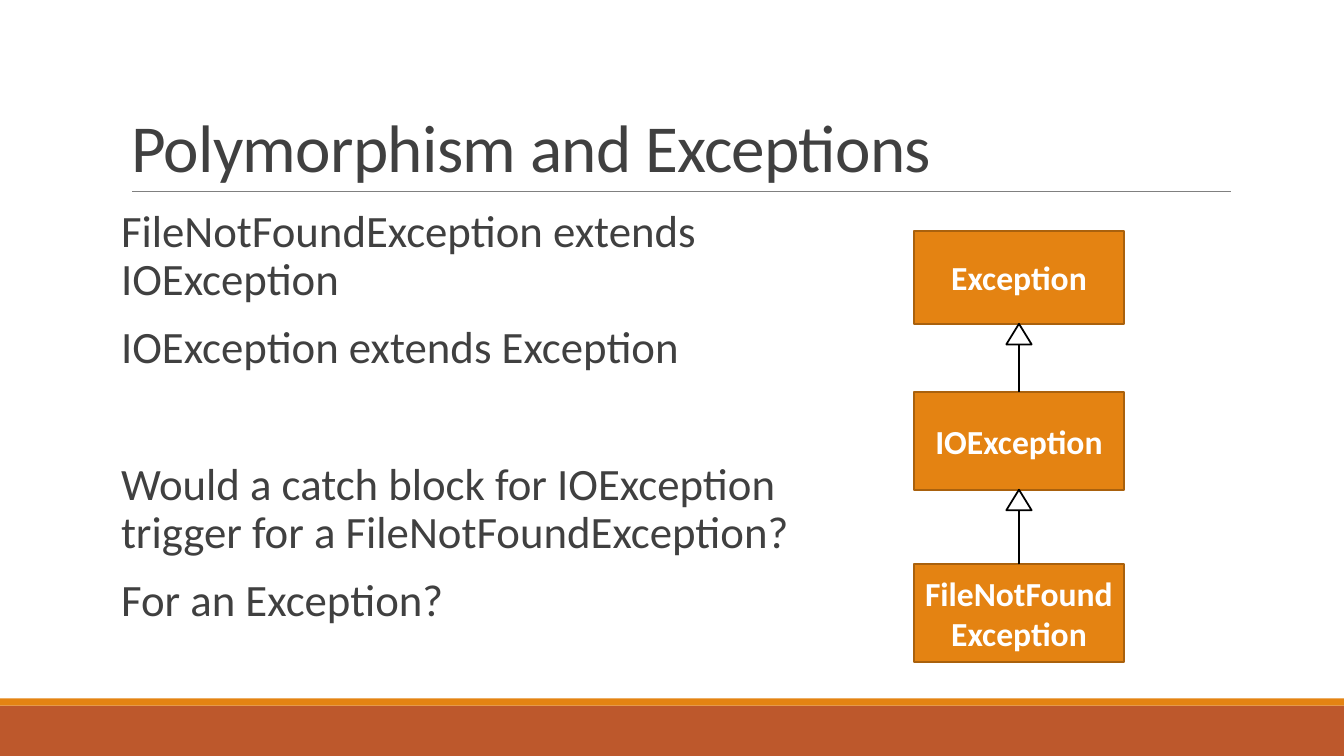
from lxml import etree
from pptx import Presentation
from pptx import util as u
from pptx.dml.color import RGBColor
from pptx.enum import shapes, text
from pptx.oxml.ns import qn

WIDTH, HEIGHT = 33.87, 19.05
ORANGE, RUST, INK, WHITE, BLACK = "E48312", "BD582C", "404040", "FFFFFF", "000000"
BOX_LEFT, BOX_WIDTH = 23.04, 5.28
HIERARCHY = [
    ("Exception", 5.82, 2.34),
    ("IOException", 9.88, 2.46),
    ("FileNotFound\vException", 14.22, 2.46),
]
PARAGRAPH_GAP = 12
SECTION_GAP = 61
POINTS = [
    ("FileNotFoundException extends IOException", PARAGRAPH_GAP),
    ("IOException extends Exception", PARAGRAPH_GAP),
    ("Would a catch block for IOException trigger for a FileNotFoundException?", SECTION_GAP),
    ("For an Exception?", PARAGRAPH_GAP),
]


def colour(value):
    """Turn a hex string into a colour."""
    return RGBColor.from_string(value)


def apply(target, formats):
    """Set each attribute named in the formats."""
    for name, value in formats.items():
        setattr(target, name, value)


def place(part, left, top, width, height):
    """Position a part in centimetres."""
    lengths = dict(left=left, top=top, width=width, height=height)
    apply(part, {name: u.Cm(value) for name, value in lengths.items()})


def style_font(font, size, ink, bold=False):
    """Give a font its face, size, weight and colour."""
    apply(font, dict(name="Calibri", size=u.Pt(size), bold=bold))
    font.color.rgb = colour(ink)


def add_filled(slide, kind, bounds, fill, outline=None):
    """Add a flat preset shape, with an outline if one is given."""
    part = slide.shapes.add_shape(kind, *map(u.Cm, bounds))
    part.shadow.inherit = False
    part.fill.solid()
    part.fill.fore_color.rgb = colour(fill)
    if outline:
        part.line.color.rgb = colour(outline)
        part.line.width = u.Pt(1.25)
    else:
        part.line.fill.background()
    return part


def add_line(slide, ends, ink, width):
    """Add a straight line without a shadow."""
    line = slide.shapes.add_connector(shapes.MSO_CONNECTOR.STRAIGHT, *map(u.Cm, ends))
    line.line.color.rgb = colour(ink)
    line.line.width = u.Pt(width)
    etree.SubElement(line._element.spPr, qn("a:effectLst"))
    return line


def add_class_box(slide, label, top, height):
    """Add one labelled class of the hierarchy."""
    box = add_filled(slide, shapes.MSO_SHAPE.RECTANGLE,
                     (BOX_LEFT, top, BOX_WIDTH, height), ORANGE, "A9610D")
    frame = box.text_frame
    apply(frame, dict(text=label, word_wrap=True, vertical_anchor=text.MSO_ANCHOR.MIDDLE,
                      margin_left=u.Cm(0.1), margin_right=u.Cm(0.1)))
    paragraph = frame.paragraphs[0]
    paragraph.alignment = text.PP_ALIGN.CENTER
    for run in paragraph.runs:
        style_font(run.font, 24, WHITE, True)
    return box


def add_inheritance(slide, parent, child):
    """Draw the hollow arrow from a child class up to its parent."""
    link = add_line(slide, (0, 0, 0, 0), BLACK, 1.25)
    link.begin_connect(child, 0)
    link.end_connect(parent, 2)
    head_width, head_height = 0.64, 0.52
    base = u.Emu(parent.top + parent.height).cm
    left = BOX_LEFT + (BOX_WIDTH - head_width) / 2
    add_filled(slide, shapes.MSO_SHAPE.ISOSCELES_TRIANGLE,
               (left, base, head_width, head_height), WHITE, BLACK)


def write_title(title, wording):
    """Fill and format the title placeholder."""
    place(title, 3.05, 0.79, 27.94, 4.04)
    apply(title.text_frame, dict(text=wording, word_wrap=True,
                                 auto_size=text.MSO_AUTO_SIZE.NONE,
                                 vertical_anchor=text.MSO_ANCHOR.BOTTOM))
    paragraph = title.text_frame.paragraphs[0]
    apply(paragraph, dict(alignment=text.PP_ALIGN.LEFT, line_spacing=0.85))
    run = paragraph.runs[0]
    style_font(run.font, 48, INK)
    run.font._element.set("spc", "-50")


def write_points(body):
    """Fill and format the body placeholder without bullets."""
    place(body, 3.05, 5.13, 17.55, 11.18)
    frame = body.text_frame
    apply(frame, dict(margin_left=0, margin_right=0, word_wrap=True,
                      auto_size=text.MSO_AUTO_SIZE.NONE,
                      text="\n".join(point for point, _ in POINTS)))
    for paragraph, (_, gap) in zip(frame.paragraphs, POINTS):
        apply(paragraph, dict(line_spacing=0.9, space_before=u.Pt(gap), space_after=u.Pt(2)))
        style_font(paragraph.runs[0].font, 32, INK)
        properties = paragraph._p.get_or_add_pPr()
        properties.set("marL", "0")
        properties.set("indent", "0")
        etree.SubElement(properties, qn("a:buNone"))


def main():
    """Build the slide and save it."""
    deck = Presentation()
    apply(deck, dict(slide_width=u.Cm(WIDTH), slide_height=u.Cm(HEIGHT)))
    slide = deck.slides.add_slide(deck.slide_layouts[1])
    for top, height, fill in ((17.78, 1.27, RUST), (17.6, 0.18, ORANGE)):
        add_filled(slide, shapes.MSO_SHAPE.RECTANGLE, (0, top, WIDTH, height), fill)
    add_line(slide, (3.33, 4.83, 31.01, 4.83), "808080", 0.5)
    write_title(slide.shapes.title, "Polymorphism and Exceptions")
    write_points(slide.placeholders[1])
    boxes = [add_class_box(slide, *entry) for entry in HIERARCHY]
    for parent, child in zip(boxes, boxes[1:]):
        add_inheritance(slide, parent, child)
    deck.save("out.pptx")


if __name__ == "__main__":
    main()
